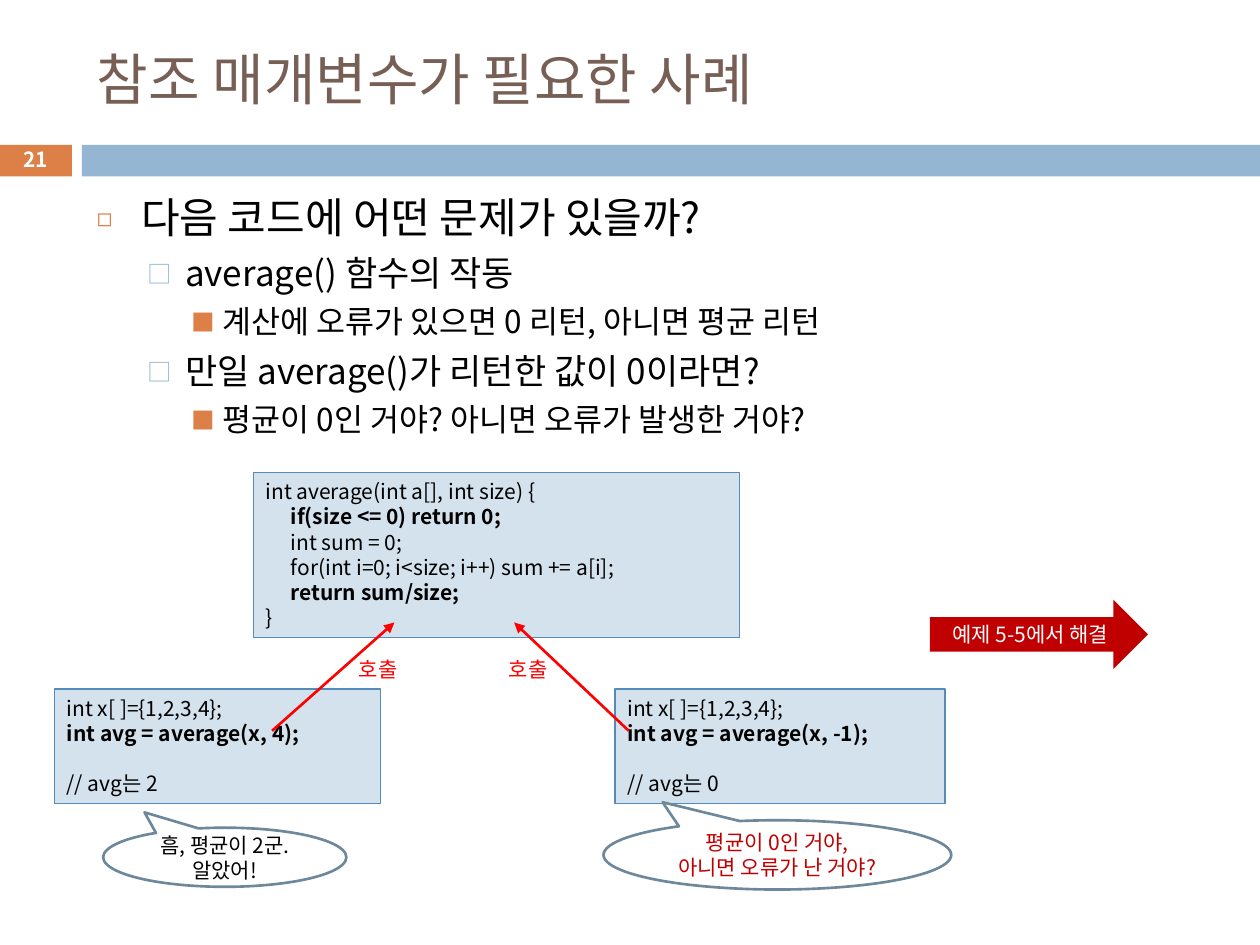
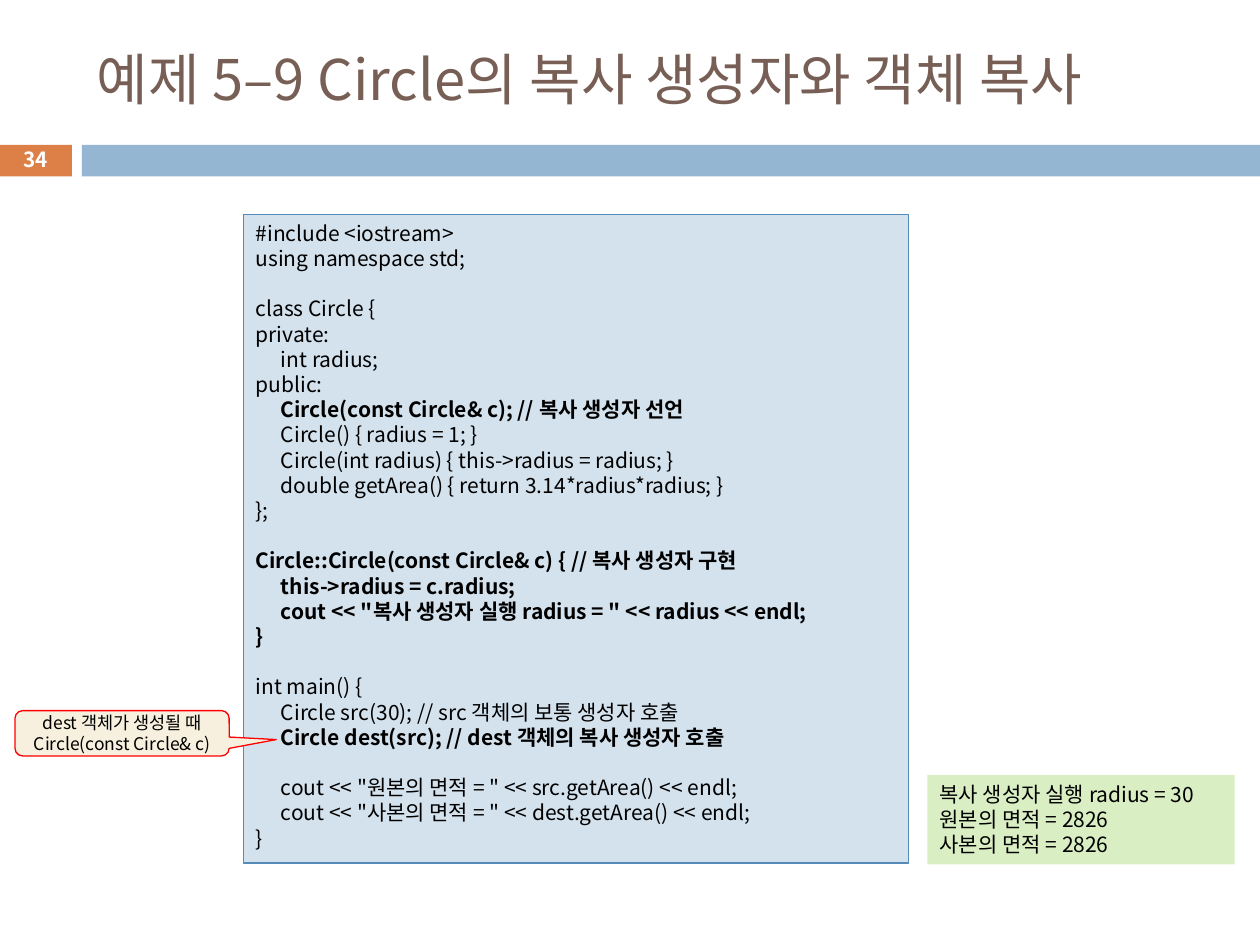
from lxml.etree import SubElement
from pptx import Presentation
from pptx.dml.color import RGBColor
from pptx.enum.shapes import MSO_CONNECTOR, MSO_SHAPE
from pptx.enum.text import MSO_ANCHOR, MSO_AUTO_SIZE, PP_ALIGN
from pptx.oxml.ns import qn
from pptx.util import Pt

FONT = "Noto Sans CJK KR"
BLACK = RGBColor(0x00, 0x00, 0x00)
WHITE = RGBColor(0xFF, 0xFF, 0xFF)
BROWN = RGBColor(0x77, 0x5F, 0x55)
ORANGE = RGBColor(0xDD, 0x80, 0x47)
BLUE = RGBColor(0x94, 0xB6, 0xD2)
PALE = RGBColor(0xD4, 0xE2, 0xED)
EDGE = RGBColor(0x55, 0x8B, 0xB8)
SLATE = RGBColor(0x6D, 0x87, 0x9B)
RED = RGBColor(0xFF, 0x00, 0x00)
DARK = RGBColor(0xC0, 0x00, 0x00)
GREEN = RGBColor(0xDA, 0xEE, 0xC4)
CREAM = RGBColor(0xF7, 0xF0, 0xDE)

LINE = 14.4
LEVELS = [
    (24, 7, 25.2, 25.2, "◻", ORANGE, 60),
    (20, 5.5, 50.4, 21.6, "□", BLUE, 70),
    (18, 5, 72, 18, "■", ORANGE, 75),
]

TOPICS = [
    (0, "다음 코드에 어떤 문제가 있을까?"),
    (1, "average() 함수의 작동"),
    (2, "계산에 오류가 있으면 0 리턴, 아니면 평균 리턴"),
    (1, "만일 average()가 리턴한 값이 0이라면?"),
    (2, "평균이 0인 거야? 아니면 오류가 발생한 거야?"),
]

AVERAGE = """int average(int a[], int size) {
*\tif(size <= 0) return 0;
\tint sum = 0;
\tfor(int i=0; i<size; i++) sum += a[i];
*\treturn sum/size;
}"""

CALL = """int x[ ]={{1,2,3,4}};
*int avg = average(x, {});

// avg는 {}"""

CIRCLE = """#include <iostream>
using namespace std;

class Circle {
private:
\tint radius;
public:
*\tCircle(const Circle& c); // 복사 생성자 선언
\tCircle() { radius = 1; }
\tCircle(int radius) { this->radius = radius; }
\tdouble getArea() { return 3.14*radius*radius; }
};

*Circle::Circle(const Circle& c) { // 복사 생성자 구현
*\tthis->radius = c.radius;
*\tcout << "복사 생성자 실행 radius = " << radius << endl;
*}

int main() {
\tCircle src(30); // src 객체의 보통 생성자 호출
*\tCircle dest(src); // dest 객체의 복사 생성자 호출

\tcout << "원본의 면적 = " << src.getArea() << endl;
\tcout << "사본의 면적 = " << dest.getArea() << endl;
}"""

OUTPUT = """복사 생성자 실행 radius = 30
원본의 면적 = 2826
사본의 면적 = 2826"""


def place(shape, box):
    """Move and size a shape in points."""
    shape.left, shape.top, shape.width, shape.height = map(Pt, box)


def write(para, text, size=12, color=BLACK, bold=False):
    """Add one styled run to a paragraph."""
    run = para.add_run()
    run.text = text
    font = run.font
    font.size, font.bold, font.name = Pt(size), bold, FONT
    font.color.rgb = color
    SubElement(font._element, qn("a:ea"), typeface=FONT)


def next_para(frame, index):
    """Return the first paragraph, or a new one."""
    return frame.add_paragraph() if index else frame.paragraphs[0]


def draw(slide, kind, box, fill=None, edge=None, width=0.75, adjust=()):
    """Add a flat preset shape."""
    shape = slide.shapes.add_shape(kind, *map(Pt, box))
    shape.shadow.inherit = False
    if fill is None:
        shape.fill.background()
    else:
        shape.fill.solid()
        shape.fill.fore_color.rgb = fill
    if edge is None:
        shape.line.fill.background()
    else:
        shape.line.color.rgb = edge
        shape.line.width = Pt(width)
    for index, value in enumerate(adjust):
        shape.adjustments[index] = value
    return shape


def label(shape, text, size=12, color=BLACK, bold=False):
    """Centre text in a shape."""
    frame = shape.text_frame
    frame.word_wrap = True
    frame.vertical_anchor = MSO_ANCHOR.MIDDLE
    for index, line in enumerate(text.split("\n")):
        para = next_para(frame, index)
        para.alignment = PP_ALIGN.CENTER
        write(para, line, size, color, bold)


def listing(slide, box, text, fill=PALE, edge=EDGE):
    """Add a code box; a star marks bold, a tab an indent, a gap a space."""
    frame = draw(slide, MSO_SHAPE.RECTANGLE, box, fill, edge).text_frame
    frame.word_wrap = True
    frame.vertical_anchor = MSO_ANCHOR.TOP
    count = 0
    for block in text.split("\n\n"):
        for row, line in enumerate(block.split("\n")):
            para = next_para(frame, count)
            para.alignment = PP_ALIGN.LEFT
            if count and row == 0:
                para.space_before = Pt(LINE)
            code = line.removeprefix("*")
            if code.startswith("\t"):
                para._p.get_or_add_pPr().set("marL", str(Pt(LINE)))
            write(para, code.strip(), bold=line.startswith("*"))
            count += 1


def bullets(body, topics):
    """Fill the body with a bulleted outline."""
    place(body, (48.2, 105.8, 642.2, 396.7))
    frame = body.text_frame
    frame.auto_size = MSO_AUTO_SIZE.NONE
    for index, (level, text) in enumerate(topics):
        size, before, left, hang, mark, color, scale = LEVELS[level]
        para = next_para(frame, index)
        para.level = level
        para.space_before = Pt(before)
        props = para._p.get_or_add_pPr()
        props.set("marL", str(Pt(left)))
        props.set("indent", str(-Pt(hang)))
        tint = SubElement(props, qn("a:buClr"))
        SubElement(tint, qn("a:srgbClr"), val=str(color))
        SubElement(props, qn("a:buSzPct"), val=str(scale * 1000))
        SubElement(props, qn("a:buFont"), typeface=FONT)
        SubElement(props, qn("a:buChar"), char=mark)
        write(para, text, size)


def arrow(slide, start, end):
    """Draw a red arrow from start to end."""
    line = slide.shapes.add_connector(
        MSO_CONNECTOR.STRAIGHT, *map(Pt, start + end))
    line.line.color.rgb = RED
    line.line.width = Pt(1.5)
    SubElement(line.line._get_or_add_ln(), qn("a:tailEnd"), type="triangle")
    SubElement(line._element.spPr, qn("a:effectLst"))


def caption(slide, box, text):
    """Add a small red caption."""
    frame = slide.shapes.add_textbox(*map(Pt, box)).text_frame
    frame.word_wrap = False
    write(frame.paragraphs[0], text, color=RED)


def start(deck, layout, title, number):
    """Add a slide with its title, band and number."""
    slide = deck.slides.add_slide(deck.slide_layouts[layout])
    head = slide.shapes.title
    place(head, (48.2, 18, 642.2, 53.3))
    head.text_frame.vertical_anchor = MSO_ANCHOR.MIDDLE
    head.text_frame.auto_size = MSO_AUTO_SIZE.NONE
    para = head.text_frame.paragraphs[0]
    para.alignment = PP_ALIGN.LEFT
    write(para, title, 32, BROWN)
    draw(slide, MSO_SHAPE.RECTANGLE, (-0.7, 82.8, 41.8, 18), ORANGE)
    draw(slide, MSO_SHAPE.RECTANGLE, (46.8, 82.8, 673.2, 18), BLUE)
    page = slide.shapes.add_textbox(*map(Pt, (-0.7, 81.4, 41.8, 19.4)))
    label(page, str(number), 11.9, WHITE, True)
    return slide


def need(deck):
    """Build the slide on why reference parameters are needed."""
    slide = start(deck, 1, "참조 매개변수가 필요한 사례", 21)
    bullets(slide.placeholders[1], TOPICS)
    listing(slide, (144.7, 270, 277.9, 94.3), AVERAGE)
    listing(slide, (351.4, 393.8, 188.6, 65.5), CALL.format(-1, 0))
    listing(slide, (31, 393.8, 186.5, 65.5), CALL.format(4, 2))
    arrow(slide, (155.5, 417.6), (225.4, 355.7))
    arrow(slide, (359.3, 417.6), (293.8, 355.7))
    for left in (198, 283.7):
        caption(slide, (left, 371.9, 38.9, 21.6), "호출")
    for box, text, color in (
        ((59, 473, 139, 33.8), "흠, 평균이 2군. 알았어!", BLACK),
        ((344.9, 468.7, 198.7, 39.6),
         "평균이 0인 거야,\n아니면 오류가 난 거야?", DARK),
    ):
        cloud = draw(slide, MSO_SHAPE.OVAL_CALLOUT, box, None, SLATE, 1.5,
                     (-0.33, -0.76))
        label(cloud, text, color=color)
    solve = draw(slide, MSO_SHAPE.RIGHT_ARROW, (531.4, 342.7, 124.6, 39.6),
                 DARK)
    label(solve, "예제 5-5에서 해결", color=WHITE)


def copying(deck):
    """Build the slide on the copy constructor of Circle."""
    slide = start(deck, 5, "예제 5–9 Circle의 복사 생성자와 객체 복사", 34)
    listing(slide, (139, 122.4, 380.2, 370.8), CIRCLE)
    listing(slide, (529.9, 442.8, 175.7, 51.1), OUTPUT, GREEN, None)
    note = draw(slide, MSO_SHAPE.ROUNDED_RECTANGULAR_CALLOUT,
                (8.6, 406.1, 122.4, 25.9), CREAM, RED,
                adjust=(0.72, 0.14, 0.17))
    label(note, "dest 객체가 생성될 때 Circle(const Circle& c)", 10)


def main():
    """Build and save the deck."""
    deck = Presentation()
    deck.slide_width, deck.slide_height = Pt(720), Pt(540)
    need(deck)
    copying(deck)
    deck.save("out.pptx")


if __name__ == "__main__":
    main()
